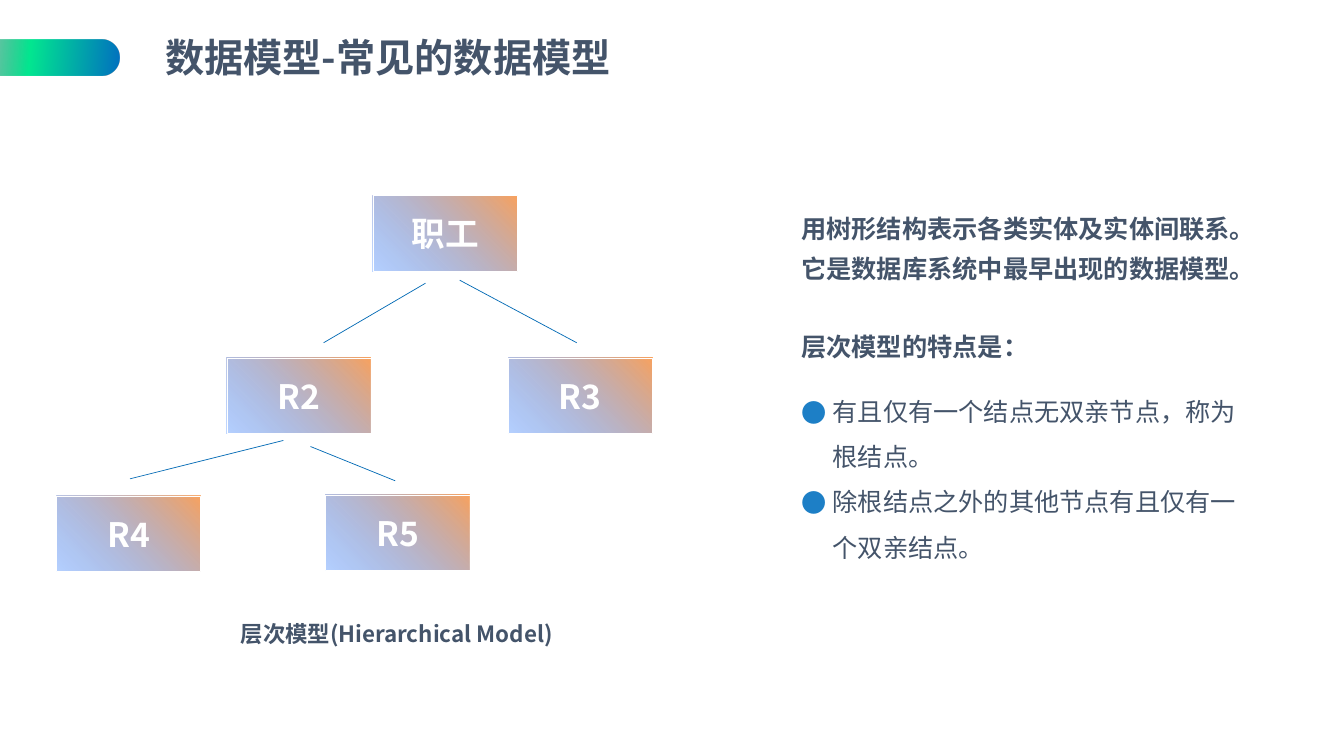
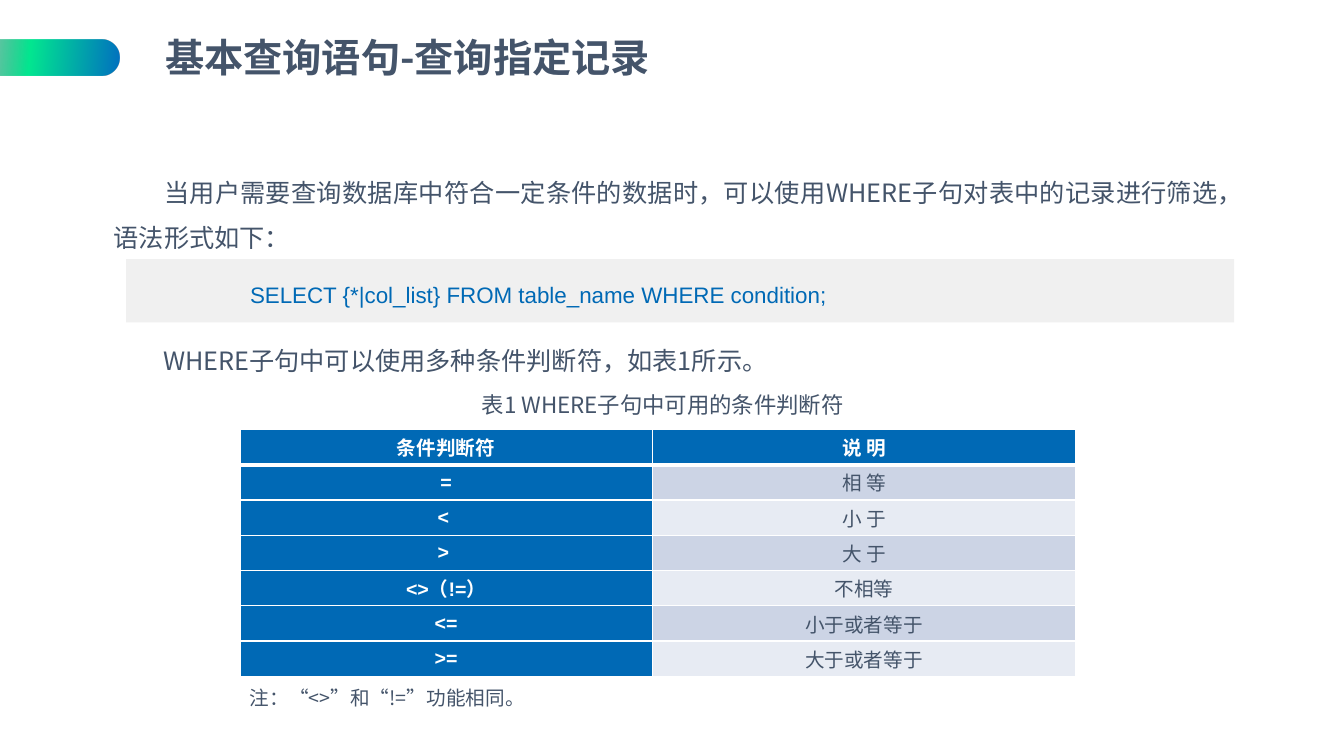
from lxml import etree
from pptx import Presentation
from pptx.dml.color import RGBColor
from pptx.enum.lang import MSO_LANGUAGE_ID
from pptx.enum.shapes import MSO_CONNECTOR, MSO_SHAPE
from pptx.enum.text import MSO_ANCHOR, MSO_AUTO_SIZE, PP_ALIGN
from pptx.oxml.ns import qn
from pptx.util import Inches, Pt

CENTER, JUSTIFY, LEFT = PP_ALIGN.CENTER, PP_ALIGN.JUSTIFY, PP_ALIGN.LEFT
MIDDLE, TOP = MSO_ANCHOR.MIDDLE, MSO_ANCHOR.TOP
GROW = MSO_AUTO_SIZE.SHAPE_TO_FIT_TEXT
RECTANGLE, ROUNDED = MSO_SHAPE.RECTANGLE, MSO_SHAPE.ROUNDED_RECTANGLE
STRAIGHT = MSO_CONNECTOR.STRAIGHT
CHINESE = MSO_LANGUAGE_ID.SIMPLIFIED_CHINESE

COLORS = {
    "text": "44546A", "accent": "0069B5", "white": "FFFFFF", "bullet": "1D7FC6",
    "code": "F0F0F0", "odd_row": "CCD4E5", "even_row": "E7EBF3",
    "navy": "272D3D", "green": "03E790", "blue": "0070C0",
    "orange": "FAA35E", "sky": "3982FF",
}
SANS, CODE_FONT = "Noto Sans CJK SC", "Arial"
# Stops: position in percent, colour, opacity in percent
PILL_STOPS = [(0, "navy", 0), (52, "green", 100), (100, "blue", 100)]
NODE_STOPS = [(0, "orange", 100), (99, "sky", 37)]
NODE_WIDTH, NODE_HEIGHT = 1.43, 0.75


def rgb(color):
    return RGBColor.from_string(COLORS[color])


def add_xml(parent, tag, **attributes):
    return etree.SubElement(parent, qn(tag), attributes)


def add_color_xml(parent, color):
    return add_xml(parent, "a:srgbClr", val=COLORS[color])


class Deck:
    def __init__(self):
        self.presentation = Presentation()
        self.presentation.slide_width = Inches(13.33)
        self.presentation.slide_height = Inches(7.5)
        self.slide = None

    def new_slide(self, title):
        layout = self.presentation.slide_layouts[5]
        self.slide = self.presentation.slides.add_slide(layout)
        pill = self.shape(ROUNDED, -0.68, 0.39, 1.86, 0.36)
        pill.adjustments[0] = 0.5
        self.gradient(pill, PILL_STOPS, 5)
        heading = self.slide.shapes.title
        heading.left, heading.top = Inches(1.54), Inches(0.33)
        heading.width, heading.height = Inches(9.17), Inches(0.52)
        heading.text_frame.vertical_anchor = MIDDLE
        heading.text_frame.auto_size = GROW
        self.paragraph(heading.text_frame.paragraphs[0], title,
                       size=28, bold=True, spacing=0.9)

    def shape(self, kind, left, top, width, height, fill=None):
        shape = self.slide.shapes.add_shape(
            kind, Inches(left), Inches(top), Inches(width), Inches(height))
        shape.shadow.inherit = False
        shape.line.fill.background()
        if fill:
            shape.fill.solid()
            shape.fill.fore_color.rgb = rgb(fill)
        return shape

    def gradient(self, shape, stops, angle):
        """Fill a shape with a linear gradient, angle in clockwise degrees."""
        shape.fill.background()
        empty_fill = shape._element.spPr.find(qn("a:noFill"))
        gradient = etree.Element(qn("a:gradFill"), rotWithShape="1")
        stop_list = add_xml(gradient, "a:gsLst")
        for position, color, opacity in stops:
            stop = add_xml(stop_list, "a:gs", pos=str(position * 1000))
            stop_color = add_color_xml(stop, color)
            if opacity < 100:
                add_xml(stop_color, "a:alpha", val=str(opacity * 1000))
        add_xml(gradient, "a:lin", ang=str(angle * 60000), scaled="0")
        shape._element.spPr.replace(empty_fill, gradient)

    def paragraph(self, paragraph, text, size=18, color="text", bold=False,
                  font=SANS, align=LEFT, spacing=None, before=0, after=0,
                  first_indent=0, bullet=False):
        paragraph.alignment = align
        paragraph.line_spacing = spacing
        paragraph.space_before, paragraph.space_after = Pt(before), Pt(after)
        properties = paragraph._p.get_or_add_pPr()
        if bullet:
            properties.set("marL", str(Inches(0.31)))
            first_indent = -0.31
            add_color_xml(add_xml(properties, "a:buClr"), "bullet")
            add_xml(properties, "a:buFont", typeface=SANS)
            add_xml(properties, "a:buChar", char="●")
        if first_indent:
            properties.set("indent", str(Inches(first_indent)))
        run = paragraph.add_run()
        run.text = text
        run.font.size, run.font.bold, run.font.name = Pt(size), bold, font
        run.font.color.rgb = rgb(color)
        run.font.language_id = CHINESE
        add_xml(run._r.get_or_add_rPr(), "a:ea", typeface=SANS)

    def text(self, left, top, width, height, *lines, wrap=True, **style):
        """Each line is a string, or a string with its own style changes."""
        box = self.slide.shapes.add_textbox(
            Inches(left), Inches(top), Inches(width), Inches(height))
        frame = box.text_frame
        frame.word_wrap, frame.auto_size = wrap, GROW
        frame.vertical_anchor = TOP
        for index, line in enumerate(lines):
            words, changes = (line, {}) if isinstance(line, str) else line
            paragraph = frame.add_paragraph() if index else frame.paragraphs[0]
            self.paragraph(paragraph, words, **{**style, **changes})

    def node(self, label, left, top):
        node = self.shape(RECTANGLE, left, top, NODE_WIDTH, NODE_HEIGHT)
        self.gradient(node, NODE_STOPS, 135)
        node.line.color.rgb = rgb("white")
        node.line.width = Pt(0.25)
        node.text_frame.vertical_anchor = MIDDLE
        self.paragraph(node.text_frame.paragraphs[0], label, size=24,
                       color="white", bold=True, align=CENTER)

    def branch(self, *ends):
        line = self.slide.shapes.add_connector(STRAIGHT, *map(Inches, ends))
        line.line.color.rgb = rgb("accent")
        line.line.width = Pt(0.5)
        add_xml(line._element.spPr, "a:effectLst")

    def code_band(self, code, left, top, width, height):
        band = self.shape(RECTANGLE, left, top, width, height, "code")
        band.text_frame.margin_left = Inches(1.23)
        band.text_frame.vertical_anchor = MIDDLE
        self.paragraph(band.text_frame.paragraphs[0], code, size=16,
                       color="accent", font=CODE_FONT, spacing=Pt(25))

    def table(self, rows, left, top, widths, row_height):
        table = self.slide.shapes.add_table(
            len(rows), len(widths), Inches(left), Inches(top),
            Inches(sum(widths)), Inches(row_height * len(rows))).table
        for column, width in zip(table.columns, widths):
            column.width = Inches(width)
        for row_index, row in enumerate(rows):
            table.rows[row_index].height = Inches(row_height)
            for column_index, words in enumerate(row):
                strong = row_index == 0 or column_index == 0
                stripe = "odd_row" if row_index % 2 else "even_row"
                self.cell(table.cell(row_index, column_index), words, strong,
                          "accent" if strong else stripe, row_index)

    def cell(self, cell, words, strong, fill, row_index):
        cell.vertical_anchor = MIDDLE
        cell.margin_left = cell.margin_right = Inches(0.07)
        cell.margin_top = cell.margin_bottom = 0
        # The rule between the header and the body is thicker
        thick_side = {0: "B", 1: "T"}.get(row_index)
        for side in "LRTB":
            width = Pt(3 if side == thick_side else 1)
            border = add_xml(cell._tc.get_or_add_tcPr(), f"a:ln{side}", w=str(width))
            add_color_xml(add_xml(border, "a:solidFill"), "white")
        cell.fill.solid()
        cell.fill.fore_color.rgb = rgb(fill)
        self.paragraph(cell.text_frame.paragraphs[0], words, size=14,
                       color="white" if strong else "text", bold=strong,
                       font=CODE_FONT if strong else SANS, align=CENTER,
                       before=1.5, after=1.5)


def hierarchy_slide(deck):
    deck.new_slide("数据模型-常见的数据模型")
    for label, left, top in [("职工", 3.7, 1.94), ("R2", 2.25, 3.55),
                             ("R3", 5.04, 3.55), ("R4", 0.56, 4.92),
                             ("R5", 3.23, 4.91)]:
        deck.node(label, left, top)
    for ends in [(4.22, 2.81, 3.21, 3.4), (4.56, 2.78, 5.72, 3.4),
                 (2.81, 4.37, 1.29, 4.75), (3.08, 4.43, 3.92, 4.77)]:
        deck.branch(*ends)
    deck.text(2.29, 5.97, 5.23, 0.46, "层次模型(Hierarchical Model)",
              size=16, bold=True, spacing=1.5)
    deck.text(7.85, 1.98, 4.64, 1.67,
              "用树形结构表示各类实体及实体间联系。它是数据库系统中最早出现的数据模型。",
              ("层次模型的特点是：", {"before": 28}),
              bold=True, spacing=1.3)
    deck.text(7.85, 3.73, 4.56, 1.87,
              "有且仅有一个结点无双亲节点，称为根结点。",
              "除根结点之外的其他节点有且仅有一个双亲结点。",
              spacing=1.5, bullet=True)


def where_slide(deck):
    deck.new_slide("基本查询语句-查询指定记录")
    body = {"align": JUSTIFY, "spacing": 1.5, "first_indent": 0.5}
    deck.text(1.03, 1.56, 11.4, 0.96,
              "当用户需要查询数据库中符合一定条件的数据时，"
              "可以使用WHERE子句对表中的记录进行筛选，语法形式如下：", **body)
    deck.code_band("SELECT {*|col_list} FROM table_name WHERE condition;",
                   1.25, 2.57, 10.99, 0.63)
    deck.text(1.02, 3.23, 11.4, 0.5,
              "WHERE子句中可以使用多种条件判断符，如表1所示。", **body)
    deck.text(4.68, 3.83, 3.95, 0.37, "表1 WHERE子句中可用的条件判断符",
              size=16, wrap=False)
    operators = [("条件判断符", "说 明"), ("=", "相 等"), ("< ", "小 于"),
                 ("> ", "大 于"), ("<>（!=）", "不相等"),
                 ("<=", "小于或者等于"), (">=", "大于或者等于")]
    deck.table(operators, 2.38, 4.26, [4.09, 4.2], 0.35)
    deck.text(2.38, 6.76, 3.06, 0.34, "注：“<>”和“!=”功能相同。",
              size=14, wrap=False)


def main():
    deck = Deck()
    hierarchy_slide(deck)
    where_slide(deck)
    deck.presentation.save("out.pptx")


if __name__ == "__main__":
    main()
